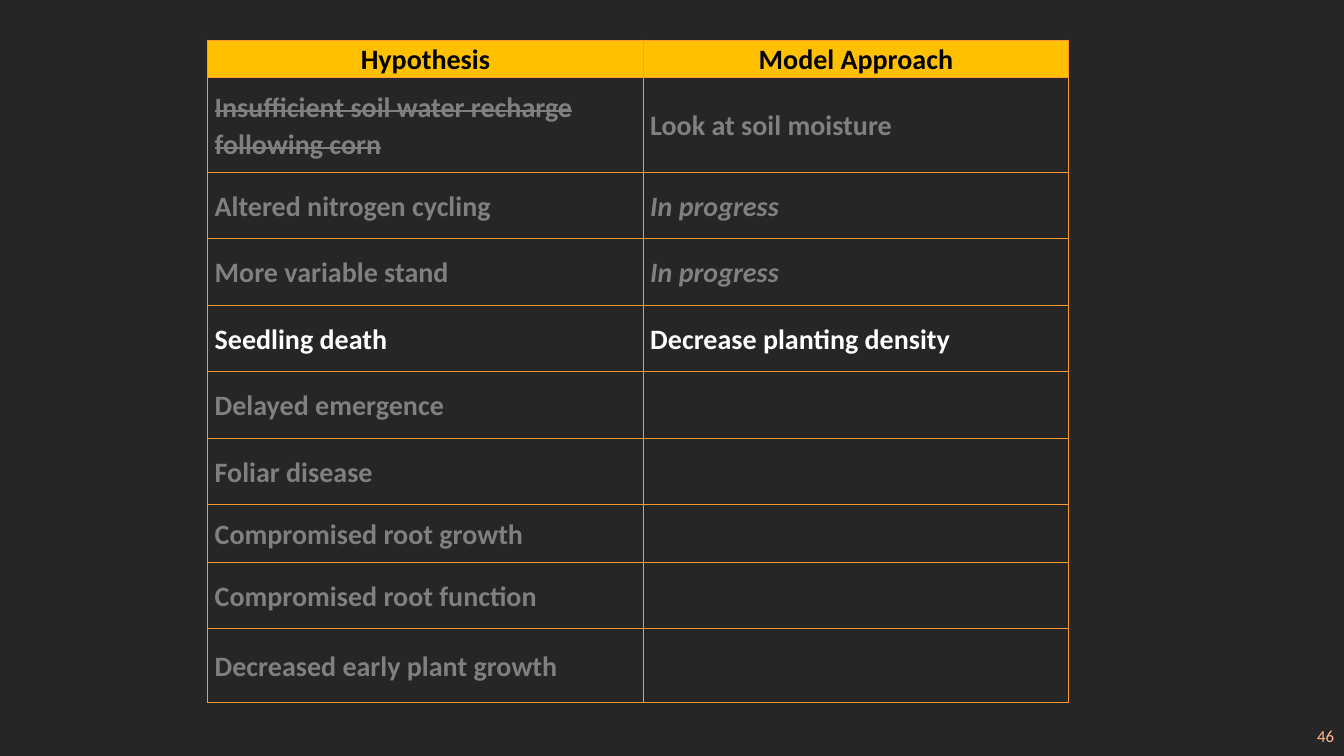
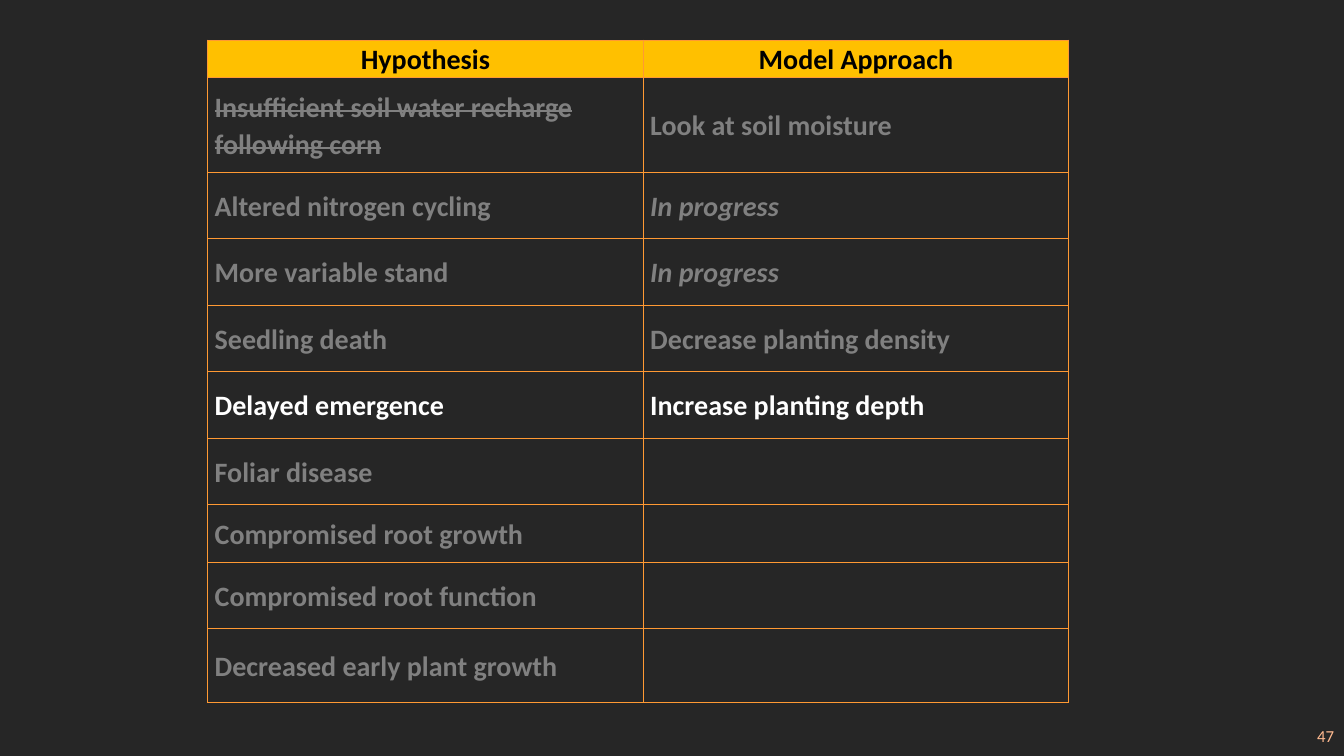
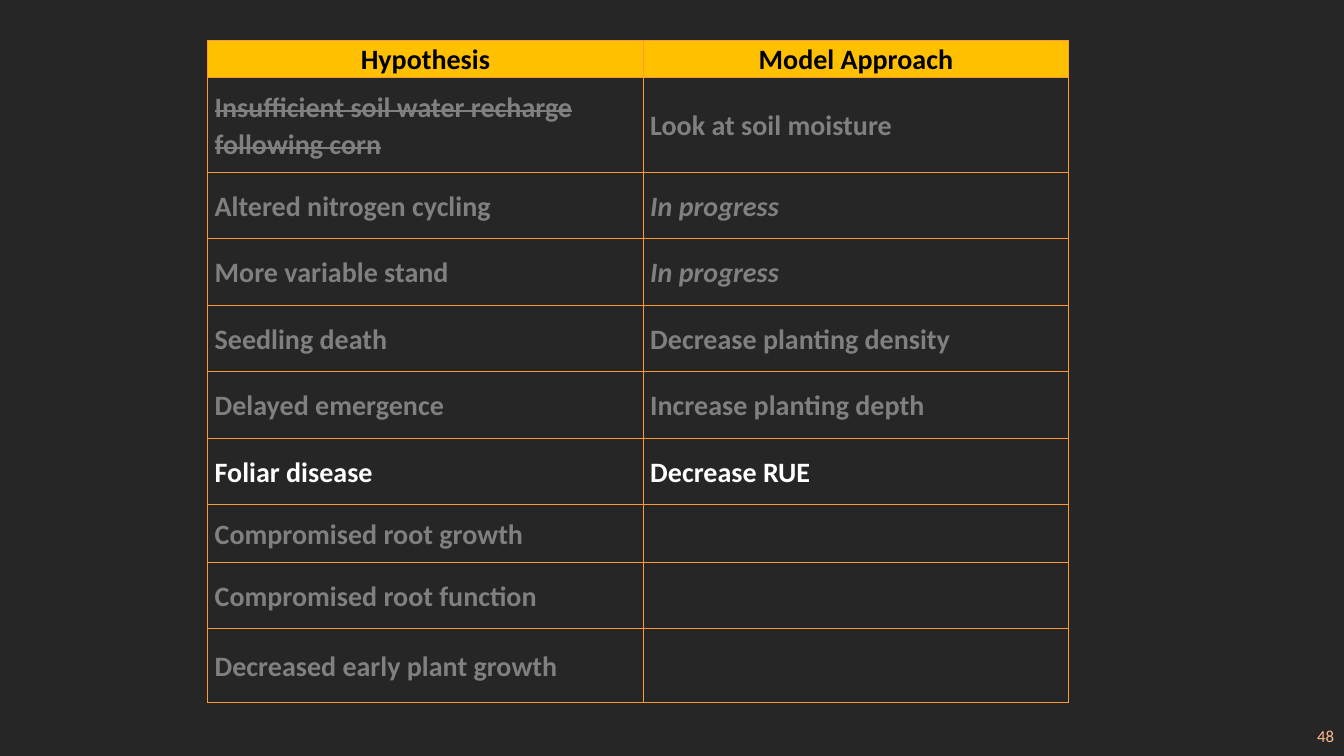
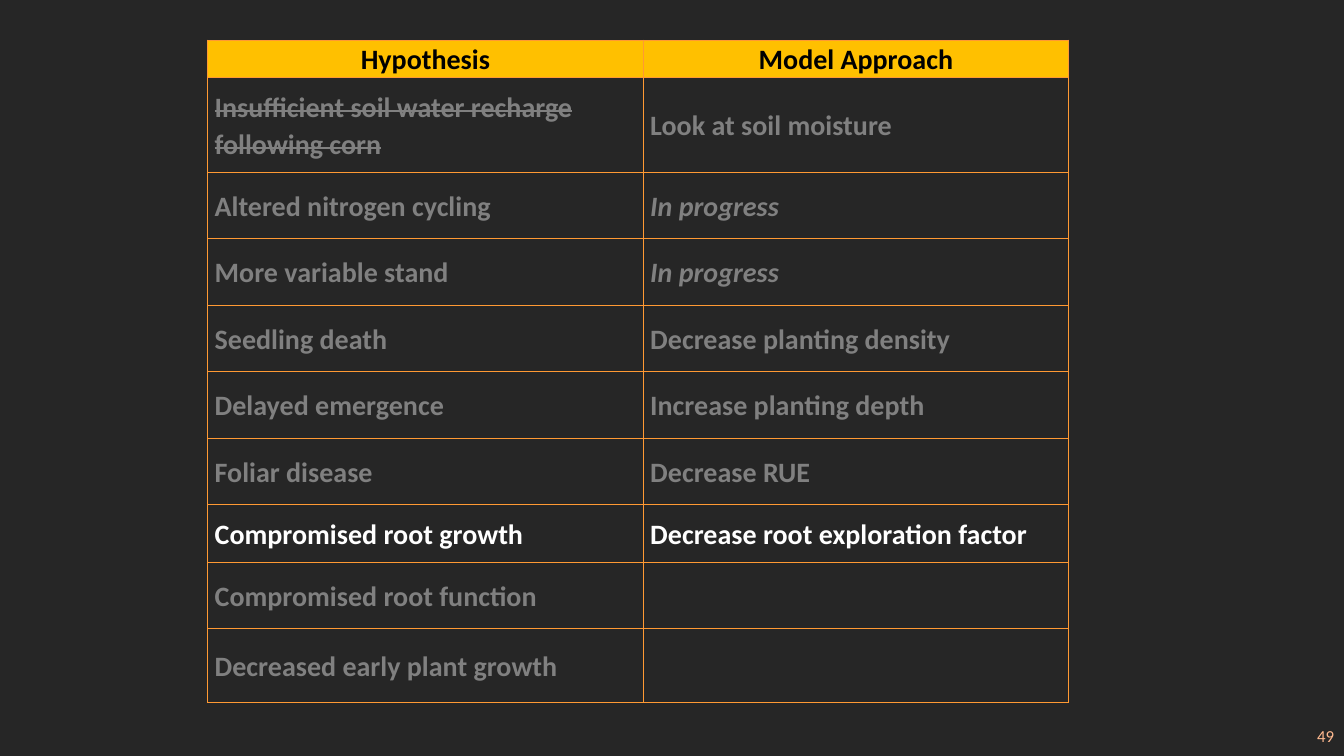
from pptx import Presentation
from pptx.dml.color import RGBColor
from pptx.enum import text
from pptx.oxml import parse_xml
from pptx.oxml.ns import nsdecls
from pptx.util import Inches, Pt

COLORS = {
    "background": "262626",
    "border": "FF9933",
    "header": "FFC000",
    "header_text": "000000",
    "muted": "808080",
    "active": "FFFFFF",
    "number": "FFBA90",
}
FONT = "Calibri"
HEADINGS = ("Hypothesis", "Model Approach")
HYPOTHESES = [
    ("Insufficient soil water recharge following corn", "Look at soil moisture"),
    ("Altered nitrogen cycling", "In progress"),
    ("More variable stand", "In progress"),
    ("Seedling death", "Decrease planting density"),
    ("Delayed emergence", "Increase planting depth"),
    ("Foliar disease", "Decrease RUE"),
    ("Compromised root growth", "Decrease root exploration factor"),
    ("Compromised root function", ""),
    ("Decreased early plant growth", ""),
]
REJECTED = HYPOTHESES[0][0]
PENDING = "In progress"
COLUMN_WIDTHS = [4.32, 4.22]
ROW_HEIGHTS = [0.37, 0.94] + [0.66] * 5 + [0.57, 0.66, 0.73]
FIRST_ACTIVE = 3
LAST_ACTIVE = 6
FIRST_NUMBER = 46


def rgb(name):
    return RGBColor.from_string(COLORS[name])


def style_font(font, size, color, bold=False):
    font.name = FONT
    font.size = Pt(size)
    font.bold = bold
    font.color.rgb = rgb(color)


def add_borders(cell):
    properties = cell._tc.get_or_add_tcPr()
    for side in ("lnL", "lnR", "lnT", "lnB"):
        properties.append(parse_xml(
            f'<a:{side} {nsdecls("a")} w="{Pt(1)}"><a:solidFill>'
            f'<a:srgbClr val="{COLORS["border"]}"/></a:solidFill></a:{side}>'
        ))


def format_cell(cell, content, color):
    add_borders(cell)
    cell.fill.background()
    cell.vertical_anchor = text.MSO_ANCHOR.MIDDLE
    cell.margin_left = cell.margin_right = Inches(0.07)
    cell.margin_top = cell.margin_bottom = 0
    if not content:
        return
    cell.text_frame.text = content
    paragraph = cell.text_frame.paragraphs[0]
    paragraph.line_spacing = 1.07
    paragraph.space_after = Pt(8)
    run = paragraph.runs[0]
    style_font(run.font, 20, color, bold=True)
    if content == PENDING:
        run.font.italic = True
    if content == REJECTED:
        run.font._element.set("strike", "sngStrike")


def format_header(cell, heading):
    format_cell(cell, heading, "header_text")
    cell.fill.solid()
    cell.fill.fore_color.rgb = rgb("header")
    cell.text_frame.paragraphs[0].alignment = text.PP_ALIGN.CENTER


def add_hypothesis_table(slide, active):
    frame = slide.shapes.add_table(
        len(ROW_HEIGHTS), len(COLUMN_WIDTHS), Inches(2.06), Inches(0.4),
        Inches(sum(COLUMN_WIDTHS)), Inches(sum(ROW_HEIGHTS)),
    )
    table = frame.table
    table.first_row = table.horz_banding = False
    for column, width in zip(table.columns, COLUMN_WIDTHS):
        column.width = Inches(width)
    for row, height in zip(table.rows, ROW_HEIGHTS):
        row.height = Inches(height)
    for column, heading in enumerate(HEADINGS):
        format_header(table.cell(0, column), heading)
    for index, (hypothesis, approach) in enumerate(HYPOTHESES):
        color = "active" if index == active else "muted"
        shown_approach = approach if index <= active else ""
        format_cell(table.cell(index + 1, 0), hypothesis, color)
        format_cell(table.cell(index + 1, 1), shown_approach, color)


def add_slide_number(slide, number):
    box = slide.shapes.add_textbox(Inches(10.33), Inches(7.1), Inches(3), Inches(0.4))
    frame = box.text_frame
    frame.word_wrap = True
    frame.vertical_anchor = text.MSO_ANCHOR.MIDDLE
    frame.text = str(number)
    paragraph = frame.paragraphs[0]
    paragraph.alignment = text.PP_ALIGN.RIGHT
    style_font(paragraph.runs[0].font, 12, "number")


def main():
    presentation = Presentation()
    presentation.slide_width = Inches(13.33)
    presentation.slide_height = Inches(7.5)
    background = presentation.slide_master.background.fill
    background.solid()
    background.fore_color.rgb = rgb("background")
    blank_layout = presentation.slide_layouts.get_by_name("Blank")
    for number, active in enumerate(range(FIRST_ACTIVE, LAST_ACTIVE + 1), FIRST_NUMBER):
        slide = presentation.slides.add_slide(blank_layout)
        add_hypothesis_table(slide, active)
        add_slide_number(slide, number)
    presentation.save("out.pptx")


if __name__ == "__main__":
    main()
